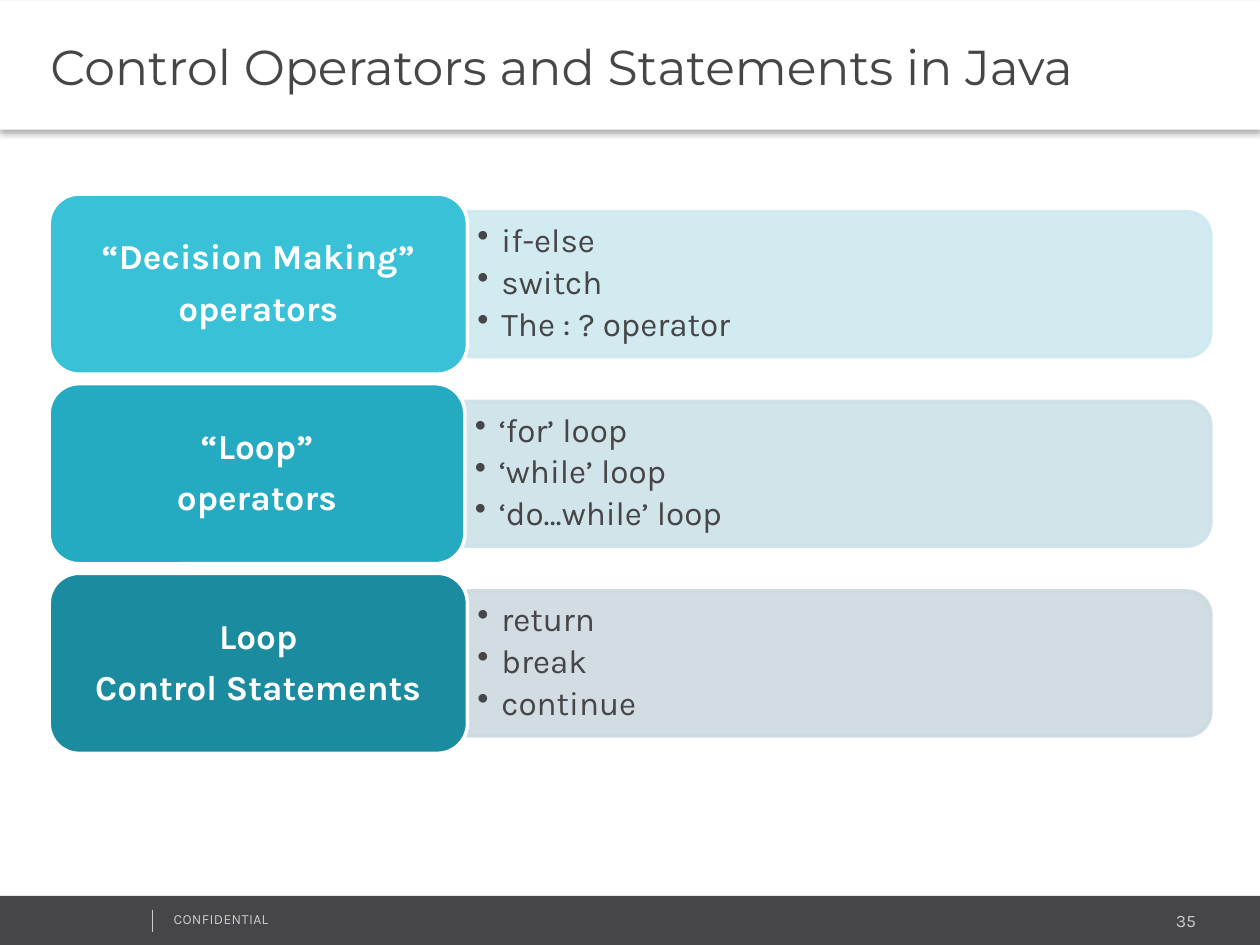
from lxml import etree
from pptx import Presentation
from pptx.dml.color import RGBColor
from pptx.enum.shapes import MSO_CONNECTOR, MSO_SHAPE
from pptx.enum.text import MSO_ANCHOR, MSO_AUTO_SIZE, PP_ALIGN
from pptx.oxml.ns import qn
from pptx.util import Inches, Pt

DARK = RGBColor(0x46, 0x45, 0x47)
WHITE = RGBColor(0xFF, 0xFF, 0xFF)
LIGHT_GREY = RGBColor(0xCC, 0xCC, 0xCC)

ROWS = [
    (("“Decision Making”", "operators"), ("if-else", "switch", "The : ? operator"),
     RGBColor(0x39, 0xC2, 0xD7), RGBColor(0xCE, 0xE9, 0xF0), 3.32),
    (("“Loop”", "operators"), ("‘for’ loop", "‘while’ loop", "‘do…while’ loop"),
     RGBColor(0x24, 0xAB, 0xC2), RGBColor(0xCC, 0xE2, 0xE8), 3.3),
    (("Loop", "Control Statements"), ("return", "break", "continue"),
     RGBColor(0x1B, 0x8B, 0xA0), RGBColor(0xCC, 0xDA, 0xDF), 3.32),
]


def sub(parent, tag, **attributes):
    """Append a DrawingML element to a parent."""
    return etree.SubElement(parent, qn(tag), attributes)


def style_font(font, name, size, color, bold=False):
    """Set the face, size, colour and weight of a font."""
    font.name, font.size, font.bold = name, Pt(size), bold
    font.color.rgb = color


def add_box(slide, kind, left, top, width, height, fill, line=None):
    """Add a flat preset shape with an optional 2 pt outline."""
    box = slide.shapes.add_shape(kind, Inches(left), Inches(top), Inches(width), Inches(height))
    box.shadow.inherit = False
    box.fill.solid()
    box.fill.fore_color.rgb = fill
    if line is None:
        box.line.fill.background()
    else:
        box.line.color.rgb = line
        box.line.width = Pt(2)
    return box


def add_text(slide, left, top, width, height):
    """Add an empty wrapping text box and return it."""
    box = slide.shapes.add_textbox(Inches(left), Inches(top), Inches(width), Inches(height))
    box.text_frame.word_wrap = True
    return box


def write_lines(box, lines, size, color, space_after, align, bold=False):
    """Write middle-anchored paragraphs into a shape and return them."""
    frame = box.text_frame
    frame.word_wrap = True
    frame.vertical_anchor = MSO_ANCHOR.MIDDLE
    frame.margin_left = frame.margin_right = Inches(0.08)
    frame.margin_top = frame.margin_bottom = Inches(0.04)
    frame.text = "\n".join(lines)
    for paragraph in frame.paragraphs:
        paragraph.alignment = align
        paragraph.line_spacing = 0.9
        paragraph.space_after = Pt(space_after)
        style_font(paragraph.runs[0].font, "Karla", size, color, bold)
    return frame.paragraphs


def add_title(slide, text, left, top, width, height):
    """Format the title placeholder as a white band with a soft shadow."""
    title = slide.shapes.title
    title.left, title.top = Inches(left), Inches(top)
    title.width, title.height = Inches(width), Inches(height)
    title.fill.solid()
    title.fill.fore_color.rgb = WHITE
    effects = sub(title._element.spPr, "a:effectLst")
    shadow = sub(effects, "a:outerShdw", blurRad=str(Pt(3.1)), dist=str(Pt(2)),
                 dir="5400000", algn="t", rotWithShape="0")
    sub(sub(shadow, "a:srgbClr", val="000000"), "a:alpha", val="30000")
    frame = title.text_frame
    frame.text = text
    frame.auto_size = MSO_AUTO_SIZE.NONE
    frame.vertical_anchor = MSO_ANCHOR.MIDDLE
    frame.margin_left = Inches(0.4)
    frame.paragraphs[0].alignment = PP_ALIGN.LEFT
    style_font(frame.paragraphs[0].runs[0].font, "Montserrat", 28, DARK)


def add_row(slide, row, left, top, width, height):
    """Place a category label and its bulleted bar in one row."""
    label_lines, items, label_color, bar_color, label_width = row
    bar_left, bar_width, bar_height = left + label_width, width - label_width, 1.15
    center_x, center_y = bar_left + bar_width / 2, top + height / 2
    bar = add_box(slide, MSO_SHAPE.ROUND_2_SAME_RECTANGLE, center_x - bar_height / 2,
                  center_y - bar_width / 2, bar_height, bar_width, bar_color, bar_color)
    bar.rotation = 90
    for color in bar._element.spPr.iter(qn("a:srgbClr")):
        sub(color, "a:alpha", val="90000")

    item_box = add_text(slide, bar_left, center_y - 0.52, bar_width - 0.06, 1.03)
    for paragraph in write_lines(item_box, items, 19, DARK, 3.4, PP_ALIGN.LEFT):
        properties = paragraph._p.get_or_add_pPr()
        properties.set("marL", str(Inches(0.19)))
        properties.set("indent", str(-Inches(0.19)))
        sub(properties, "a:buChar", char="•")

    label = add_box(slide, MSO_SHAPE.ROUNDED_RECTANGLE, left, top, label_width, height,
                    label_color, WHITE)
    write_lines(label, label_lines, 20, WHITE, 7.7, PP_ALIGN.CENTER, bold=True)


def add_footer(slide, left, top, width, height):
    """Draw the footer band with its divider, notice and page number."""
    add_box(slide, MSO_SHAPE.RECTANGLE, left, top, width, height, DARK)
    divider = slide.shapes.add_connector(
        MSO_CONNECTOR.STRAIGHT, Inches(left + 1.21), Inches(top + 0.11),
        Inches(left + 1.21), Inches(top + 0.29))
    divider.line.color.rgb = LIGHT_GREY
    divider.line.width = Pt(0.25)
    sub(divider._element.spPr, "a:effectLst")
    notes = [("CONFIDENTIAL", 1.28, 0.07, 2.53, 0.24, 8, PP_ALIGN.LEFT, "20"),
             ("35", 7.96, 0.06, 1.63, 0.27, 10, PP_ALIGN.RIGHT, "0")]
    for text, x, y, w, h, size, align, spacing in notes:
        frame = add_text(slide, left + x, top + y, w, h).text_frame
        frame.text = text
        frame.paragraphs[0].alignment = align
        run = frame.paragraphs[0].runs[0]
        style_font(run.font, "Karla", size, LIGHT_GREY)
        run._r.get_or_add_rPr().set("spc", spacing)


def build():
    """Build and save the slide."""
    deck = Presentation()
    deck.slide_width, deck.slide_height = Inches(10), Inches(7.5)
    slide = deck.slides.add_slide(deck.slide_layouts[5])
    add_footer(slide, 0, 7.11, 10, 0.4)
    add_title(slide, "Control Operators and Statements in Java", 0, 0.01, 10, 1.02)
    for index, row in enumerate(ROWS):
        add_row(slide, row, 0.39, 1.54 + 1.505 * index, 9.22, 1.43)
    deck.save("out.pptx")


build()
